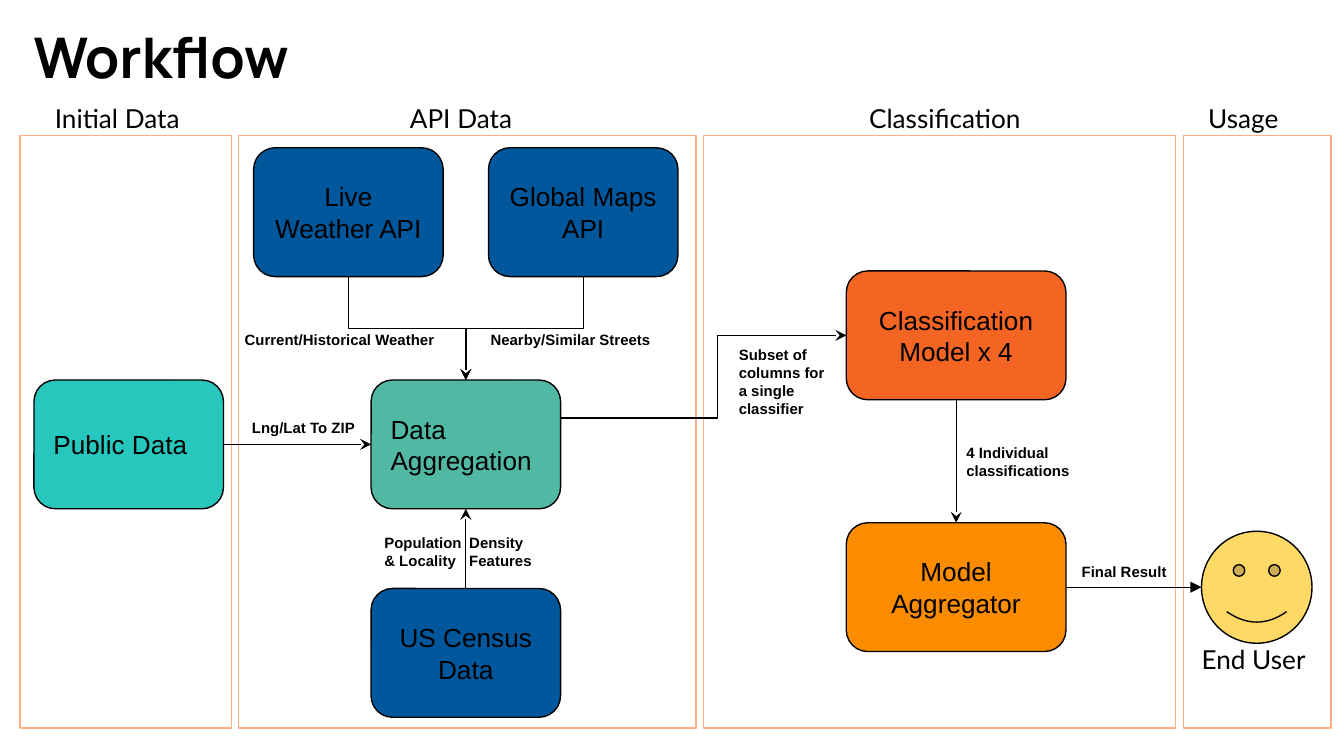
from lxml.etree import SubElement
from pptx import Presentation
from pptx.dml.color import RGBColor
from pptx.enum.shapes import MSO_CONNECTOR as Link, MSO_SHAPE as Shape
from pptx.enum.text import MSO_ANCHOR as Anchor, MSO_AUTO_SIZE as AutoSize, PP_ALIGN as Align
from pptx.oxml.ns import qn
from pptx.util import Pt

BLACK = RGBColor(0x00, 0x00, 0x00)
PEACH = RGBColor(0xFF, 0xAE, 0x88)
TURQUOISE = RGBColor(0x27, 0xC7, 0xBD)
GREEN = RGBColor(0x51, 0xB9, 0xA3)
BLUE = RGBColor(0x01, 0x57, 0x9B)
ORANGE = RGBColor(0xF4, 0x65, 0x24)
AMBER = RGBColor(0xFB, 0x8C, 0x00)
YELLOW = RGBColor(0xFF, 0xD9, 0x66)

TOP, LEFT, BOTTOM, RIGHT = range(4)
BOX_WIDTH, MODEL_WIDTH, BOX_HEIGHT = 101.5, 117.7, 69


class WorkflowSlide:
    line_width = 0.75
    inset = 7.2

    def __init__(self, slide):
        self.slide = slide
        self.shapes = slide.shapes

    def set_text(self, shape, text, size, font, bold=False, align=Align.LEFT, anchor=Anchor.TOP):
        frame = shape.text_frame
        frame.text = text
        frame.word_wrap = True
        frame.vertical_anchor = anchor
        frame.margin_left = frame.margin_right = Pt(self.inset)
        frame.margin_top = frame.margin_bottom = Pt(self.inset)
        for paragraph in frame.paragraphs:
            paragraph.alignment = align
            for run in paragraph.runs:
                run.font.size = Pt(size)
                run.font.name = font
                run.font.bold = bold
                run.font.color.rgb = BLACK

    def title(self, text, left, top, width, height):
        title = self.shapes.title
        title.left, title.top, title.width, title.height = map(Pt, (left, top, width, height))
        self.set_text(title, text, 30, "Manrope", bold=True)
        title.text_frame.auto_size = AutoSize.NONE

    def shape(self, kind, left, top, width, height, line, fill=None):
        shape = self.shapes.add_shape(kind, Pt(left), Pt(top), Pt(width), Pt(height))
        shape.shadow.inherit = False
        shape.line.color.rgb = line
        shape.line.width = Pt(self.line_width)
        if fill is None:
            shape.fill.background()
        else:
            shape.fill.solid()
            shape.fill.fore_color.rgb = fill
        return shape

    def box(self, text, left, top, fill, width=BOX_WIDTH, align=Align.CENTER):
        box = self.shape(Shape.ROUNDED_RECTANGLE, left, top, width, BOX_HEIGHT, BLACK, fill)
        self.set_text(box, text, 14, "Arial", align=align, anchor=Anchor.MIDDLE)
        return box

    def label(self, text, left, top, width, height=24.5, size=8, font="Arial", bold=True):
        label = self.shapes.add_textbox(Pt(left), Pt(top), Pt(width), Pt(height))
        self.set_text(label, text, size, font, bold)
        label.text_frame.auto_size = AutoSize.SHAPE_TO_FIT_TEXT
        return label

    def heading(self, text, left, top=47.5, width=122.4):
        return self.label(text, left, top, width, 31.7, 14, "Lato", bold=False)

    def tab_stop(self, label, position):
        for paragraph in label.text_frame.paragraphs:
            tabs = SubElement(paragraph._p.get_or_add_pPr(), qn("a:tabLst"))
            SubElement(tabs, qn("a:tab"), pos=str(Pt(position)), algn="l")

    def connector(self, kind, x0, y0, x1, y1, head="stealth"):
        link = self.shapes.add_connector(kind, Pt(x0), Pt(y0), Pt(x1), Pt(y1))
        link.line.color.rgb = BLACK
        link.line.width = Pt(self.line_width)
        SubElement(link.line._get_or_add_ln(), qn("a:tailEnd"), type=head)
        SubElement(link._element.spPr, qn("a:effectLst"))
        return link

    def arrow(self, source, source_side, target, target_side):
        link = self.connector(Link.STRAIGHT, 0, 0, 0, 0)
        link.begin_connect(source, source_side)
        link.end_connect(target, target_side)

    def elbow_across(self, x0, y0, x1, y1, bend):
        link = self.connector(Link.ELBOW, x0, y0, x1, y1)
        guides = link._element.spPr.find(qn("a:prstGeom")).find(qn("a:avLst"))
        SubElement(guides, qn("a:gd"), name="adj1", fmla=f"val {round(bend * 100000)}")

    def elbow_down(self, x0, y0, x1, y1):
        # A sideways elbow about the same centre, turned by 90 degrees
        mid_x, mid_y = (x0 + x1) / 2, (y0 + y1) / 2
        half_x, half_y = (x1 - x0) / 2, (y1 - y0) / 2
        link = self.connector(Link.ELBOW, mid_x - half_y, mid_y + half_x,
                              mid_x + half_y, mid_y - half_x)
        link._element.spPr.find(qn("a:xfrm")).set("rot", str(90 * 60000))


def main():
    deck = Presentation()
    deck.slide_width, deck.slide_height = Pt(720), Pt(405)
    flow = WorkflowSlide(deck.slides.add_slide(deck.slide_layouts[5]))
    flow.title("Workflow", 10.8, 5, 155.5, 49.7)

    # Stages: frame left and width, heading and its left
    stages = [
        (10.8, 113.2, "Initial Data", 22.3),
        (127.9, 245, "API Data", 212.5),
        (376.8, 253, "Classification", 458.5),
        (634, 79, "Usage", 640.2),
    ]
    for left, width, name, name_left in stages:
        flow.shape(Shape.RECTANGLE, left, 72.7, width, 317.3, PEACH)
        flow.heading(name, name_left)

    # Data sources and aggregation
    middle_row, hub_left, api_top = 203.6, 198.8, 79.2
    public_data = flow.box("Public Data", 18.2, middle_row, TURQUOISE, align=Align.LEFT)
    aggregation = flow.box("Data Aggregation", hub_left, middle_row, GREEN, align=Align.LEFT)
    census = flow.box("US Census Data", hub_left, 315.3, BLUE)
    for name, left in (("Live Weather API", 135.9), ("Global Maps API", 261.7)):
        flow.box(name, left, api_top, BLUE)
        flow.elbow_down(left + BOX_WIDTH / 2, api_top + BOX_HEIGHT,
                        hub_left + BOX_WIDTH / 2, middle_row)
    flow.arrow(public_data, RIGHT, aggregation, LEFT)
    flow.arrow(census, TOP, aggregation, BOTTOM)

    # Models
    model_left, classifier_top = 453.4, 145.2
    classifier = flow.box("Classification Model x 4", model_left, classifier_top, ORANGE,
                          MODEL_WIDTH)
    aggregator = flow.box("Model Aggregator", model_left, 280.1, AMBER, MODEL_WIDTH)
    flow.elbow_across(hub_left + BOX_WIDTH, 224, model_left, classifier_top + BOX_HEIGHT / 2, 0.55)
    flow.arrow(classifier, BOTTOM, aggregator, TOP)

    # End user
    user_left = 643.7
    user = flow.shape(Shape.SMILEY_FACE, user_left, 284.6, 59.2, 60, BLACK, YELLOW)
    user.adjustments[0] = 0.05
    flow.heading("End User", 636.6, 337.6, 73.4)
    result = flow.connector(Link.STRAIGHT, 0, 0, user_left, 314.6, "triangle")
    result.begin_connect(aggregator, RIGHT)

    # Flow labels
    flow.label("Lng/Lat To ZIP", 127.9, 219.6, 79.2)
    flow.label("Current/Historical Weather", 124, 172.4, 133.2)
    flow.label("Nearby/Similar Streets", 255.7, 172.4, 113)
    flow.label("Subset of\ncolumns for a single classifier", 388.7, 178, 66.2, 53.3)
    flow.label("4 Individual classifications", 510.6, 230.4, 76.3, 33.8)
    flow.label("Final Result", 572.4, 296.8, 69.8)
    population = flow.label("Population\tDensity\n& Locality\tFeatures", 198.8, 278.8, 108.7, 33.8)
    flow.tab_stop(population, 45.5)

    deck.save("out.pptx")


if __name__ == "__main__":
    main()
